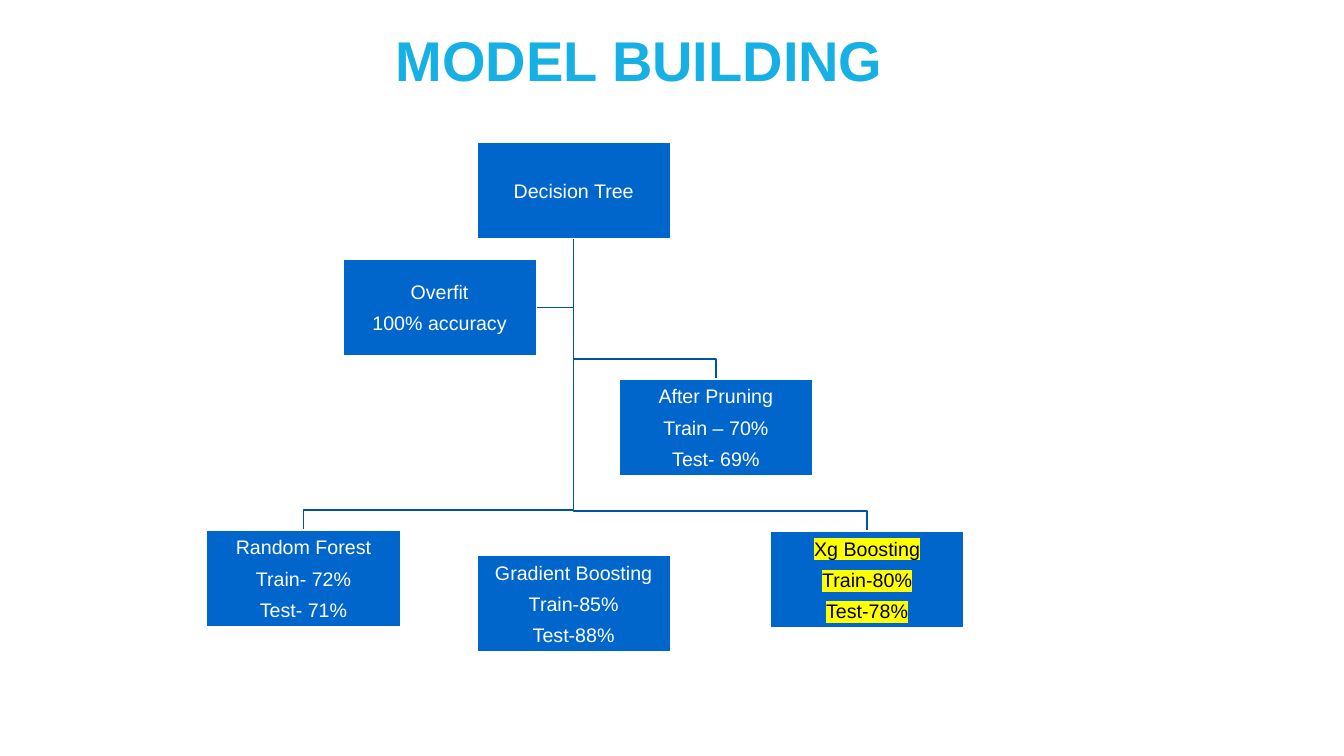
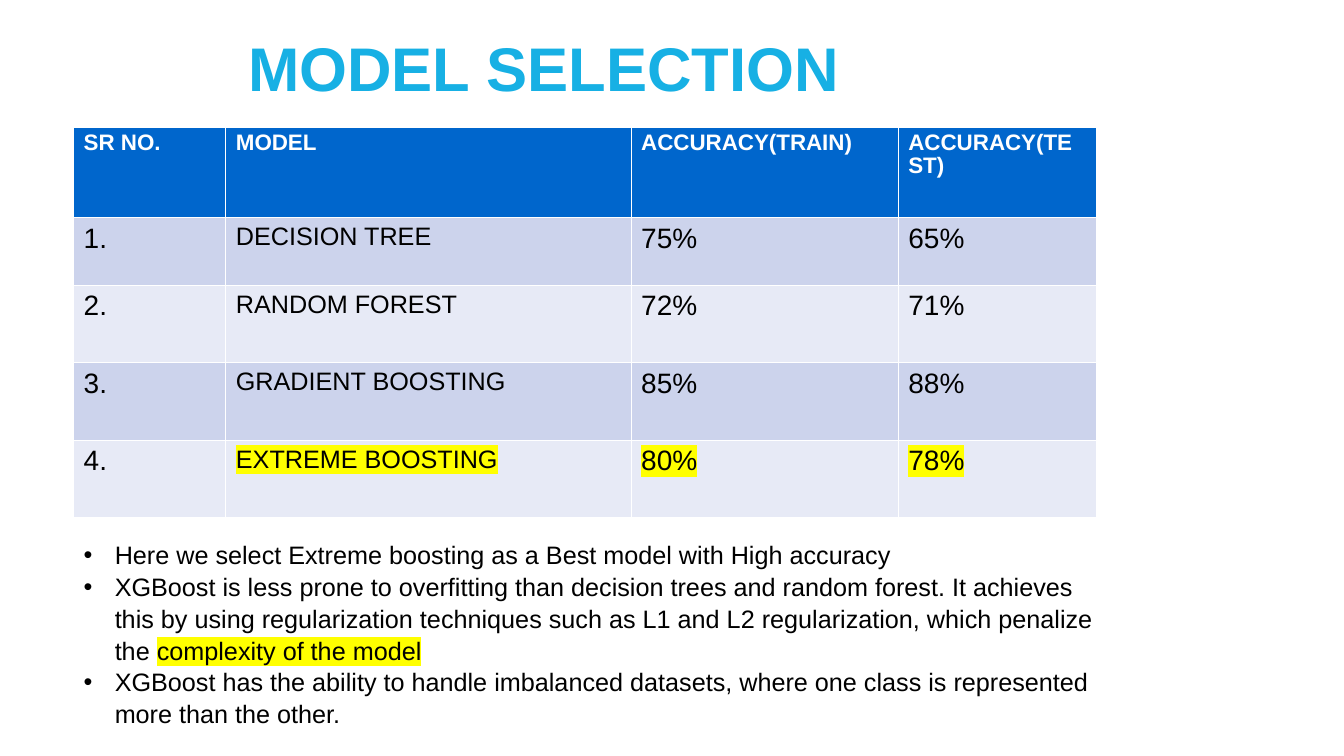
from lxml.etree import SubElement
from pptx import Presentation
from pptx.dml.color import RGBColor
from pptx.enum.shapes import MSO_SHAPE
from pptx.enum.text import MSO_ANCHOR, PP_ALIGN
from pptx.oxml import parse_xml
from pptx.oxml.ns import nsdecls, qn
from pptx.util import Inches, Pt

FONT = "Arial"
TITLE_BLUE = RGBColor(0x17, 0xB0, 0xE4)
BOX_BLUE = RGBColor(0x00, 0x66, 0xCC)
LINE_BLUE = RGBColor(0x00, 0x52, 0xA3)
BAND_DARK = RGBColor(0xCC, 0xD3, 0xEC)
BAND_LIGHT = RGBColor(0xE7, 0xEA, 0xF6)
YELLOW = RGBColor(0xFF, 0xFF, 0x00)
WHITE = RGBColor(0xFF, 0xFF, 0xFF)
BLACK = RGBColor(0x00, 0x00, 0x00)


def write_text(frame, paragraphs, size, color=BLACK, bold=False, align=PP_ALIGN.LEFT,
               line_spacing=None, space_after=0, marked=False, bullet=None):
    """Fill a text frame; a paragraph is a string or a list of (text, marked) runs."""
    frame.word_wrap = True
    for index, content in enumerate(paragraphs):
        paragraph = frame.add_paragraph() if index else frame.paragraphs[0]
        paragraph.alignment = align
        paragraph.line_spacing = line_spacing
        paragraph.space_after = Pt(space_after)
        if bullet:
            properties = paragraph._p.get_or_add_pPr()
            properties.set("marL", str(Inches(0.31)))
            properties.set("indent", str(Inches(-0.31)))
            SubElement(properties, qn("a:buFont")).set("typeface", FONT)
            SubElement(properties, qn("a:buChar")).set("char", bullet)
        runs = [(content, marked)] if isinstance(content, str) else content
        for text, run_marked in runs:
            run = paragraph.add_run()
            run.text = text
            run.font.size = Pt(size)
            run.font.bold = bold
            run.font.name = FONT
            run.font.color.rgb = color
            if run_marked:
                highlight = parse_xml(f'<a:highlight {nsdecls("a")}>'
                                      f'<a:srgbClr val="{YELLOW}"/></a:highlight>')
                run.font._element.find(qn("a:solidFill")).addnext(highlight)


def add_titled_slide(title, size, left, top, width, height):
    """Add a blank slide with a centred title and return it."""
    slide = presentation.slides.add_slide(presentation.slide_layouts[6])
    box = slide.shapes.add_textbox(Inches(left), Inches(top), Inches(width), Inches(height))
    write_text(box.text_frame, [title], size, color=TITLE_BLUE, bold=True,
               align=PP_ALIGN.CENTER)
    return slide


presentation = Presentation()
presentation.slide_width = Inches(13.33)
presentation.slide_height = Inches(7.5)

# Model building: tree of models
slide = add_titled_slide("MODEL BUILDING", 40, 1.03, 0.2, 10.62, 0.77)

BOX_WIDTH, BOX_HEIGHT = 1.92, 0.96
TRUNK_X, TRUNK_TOP = 5.69, 2.37
branches = [
    [(TRUNK_X, 3.56), (7.1, 3.56), (7.1, 3.76)],
    [(TRUNK_X, 5.06), (3.01, 5.06), (3.01, 5.26)],
    [(TRUNK_X, 5.07), (8.6, 5.07), (8.6, 5.27)],
    [(TRUNK_X, 3.05), (5.32, 3.05)],
]
for points in branches:
    builder = slide.shapes.build_freeform(Inches(TRUNK_X), Inches(TRUNK_TOP))
    builder.add_line_segments([(Inches(x), Inches(y)) for x, y in points], close=False)
    branch = builder.convert_to_shape()
    branch.shadow.inherit = False
    branch.fill.background()
    branch.line.color.rgb = LINE_BLUE
    branch.line.width = Pt(1)

models = [
    (4.73, 1.41, ["Decision Tree"], False),
    (6.14, 3.76, ["After Pruning", "Train – 70%", "Test- 69%"], False),
    (2.05, 5.26, ["Random Forest", "Train- 72%", "Test- 71%"], False),
    (4.73, 5.51, ["Gradient Boosting", "Train-85%", "Test-88%"], False),
    (7.64, 5.27, ["Xg Boosting", "Train-80%", "Test-78%"], True),
    (3.4, 2.57, ["Overfit", "100% accuracy"], False),
]
for left, top, lines, chosen in models:
    shape = slide.shapes.add_shape(MSO_SHAPE.RECTANGLE, Inches(left), Inches(top),
                                   Inches(BOX_WIDTH), Inches(BOX_HEIGHT))
    shape.shadow.inherit = False
    shape.fill.solid()
    shape.fill.fore_color.rgb = BOX_BLUE
    shape.line.color.rgb = WHITE
    shape.line.width = Pt(1)
    frame = shape.text_frame
    frame.vertical_anchor = MSO_ANCHOR.MIDDLE
    frame.margin_left = frame.margin_right = Inches(0.01)
    frame.margin_top = frame.margin_bottom = Inches(0.01)
    write_text(frame, lines, 14, color=BLACK if chosen else WHITE,
               align=PP_ALIGN.CENTER, space_after=5.6, marked=chosen)

# Model selection: accuracy table and reasons
slide = add_titled_slide("MODEL SELECTION", 44, 2.06, 0.25, 6.67, 0.84)

rows = [
    ["SR NO.", "MODEL", "ACCURACY(TRAIN)", "ACCURACY(TEST)"],
    ["1.", "DECISION TREE", "75%", "65%"],
    ["2.", "RANDOM FOREST", "72%", "71%"],
    ["3.", "GRADIENT BOOSTING", "85%", "88%"],
    ["4.", "EXTREME BOOSTING", "80%", "78%"],
]
column_widths = [1.51, 4.02, 2.65, 1.97]
row_heights = [0.9, 0.67, 0.77, 0.77, 0.77]
table = slide.shapes.add_table(len(rows), len(column_widths), Inches(0.73), Inches(1.26),
                               Inches(sum(column_widths)), Inches(sum(row_heights))).table
for column, width in zip(table.columns, column_widths):
    column.width = Inches(width)
for row, height in zip(table.rows, row_heights):
    row.height = Inches(height)
for row_index, values in enumerate(rows):
    for column_index, value in enumerate(values):
        cell = table.cell(row_index, column_index)
        cell.fill.solid()
        if row_index == 0:
            cell.fill.fore_color.rgb = BOX_BLUE
            write_text(cell.text_frame, [value], 16, color=WHITE, bold=True,
                       line_spacing=0.93)
        else:
            cell.fill.fore_color.rgb = BAND_DARK if row_index % 2 else BAND_LIGHT
            write_text(cell.text_frame, [value], 18 if column_index == 1 else 20,
                       marked=row_index == len(rows) - 1 and column_index > 0)

reasons = [
    "Here we select Extreme boosting as a Best model with High accuracy",
    [("XGBoost is less prone to overfitting than decision trees and random forest. "
      "It achieves this by using regularization techniques such as L1 and L2 "
      "regularization, which penalize the ", False),
     ("complexity of the model", True)],
    "XGBoost has the ability to handle imbalanced datasets, where one class is "
    "represented more than the other.",
]
reason_box = slide.shapes.add_textbox(Inches(0.73), Inches(5.29), Inches(10.31), Inches(1.81))
write_text(reason_box.text_frame, reasons, 18, line_spacing=1.05, bullet="•")

presentation.save("out.pptx")
